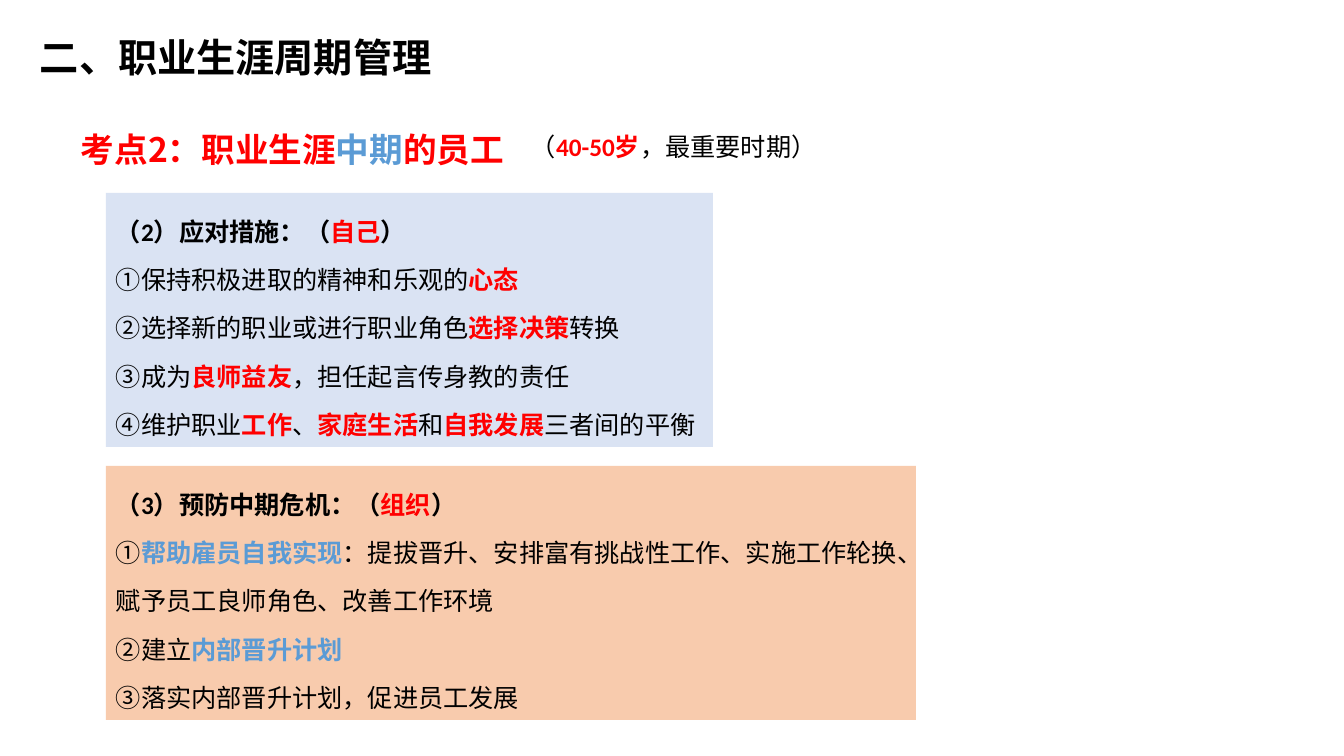
from lxml import etree
from pptx import Presentation
from pptx.dml.color import RGBColor
from pptx.enum.shapes import MSO_SHAPE
from pptx.enum.text import MSO_ANCHOR, PP_ALIGN
from pptx.oxml.ns import qn
from pptx.util import Emu, Pt

RECTANGLE = MSO_SHAPE.RECTANGLE
TOP = MSO_ANCHOR.TOP
LEFT = PP_ALIGN.LEFT

COLORS = {"black": "000000", "red": "FF0000", "blue": "5B9BD5",
          "self_panel": "DAE3F3", "company_panel": "F8CBAD"}
CJK_FONT = "Noto Sans CJK SC"
LATIN_FONT = "Calibri"

PLAIN = ("black", False)
BOLD = ("black", True)
RED = ("red", True)
BLUE = ("blue", True)

TITLE = [[("二、职业生涯周期管理", BOLD)]]
TOPIC = [[("考点2：职业生涯", RED), ("中期", BLUE), ("的员工", RED)]]
AGE_NOTE = [[("（", PLAIN), ("40-50岁", RED), ("，最重要时期）", PLAIN)]]
SELF_MEASURES = [
    [("（2）应对措施：（", BOLD), ("自己", RED), ("）", BOLD)],
    [("①保持积极进取的精神和乐观的", PLAIN), ("心态", RED)],
    [("②选择新的职业或进行职业角色", PLAIN), ("选择决策", RED), ("转换", PLAIN)],
    [("③成为", PLAIN), ("良师益友", RED), ("，担任起言传身教的责任", PLAIN)],
    [("④维护职业", PLAIN), ("工作", RED), ("、", PLAIN), ("家庭生活", RED),
     ("和", PLAIN), ("自我发展", RED), ("三者间的平衡", PLAIN)],
]
COMPANY_MEASURES = [
    [("（3）预防中期危机：（", BOLD), ("组织", RED), ("）", BOLD)],
    [("①", PLAIN), ("帮助雇员自我实现", BLUE),
     ("：提拔晋升、安排富有挑战性工作、实施工作轮换、", PLAIN)],
    [("赋予员工良师角色、改善工作环境", PLAIN)],
    [("②建立", PLAIN), ("内部晋升计划", BLUE)],
    [("③落实内部晋升计划，促进员工发展", PLAIN)],
]

HEADINGS = [
    (TITLE, (30, 28, 672, 57), 28, LATIN_FONT, 1.0),
    (TOPIC, (71, 120, 659, 53), 24, CJK_FONT, 1.1),
    (AGE_NOTE, (521, 126, 322, 40), 18, LATIN_FONT, 1.0),
]
PANEL_LEFT, PANEL_TOP, PANEL_HEIGHT, PANEL_GAP = 106, 193, 254, 19
PANELS = [
    (SELF_MEASURES, 607, "self_panel"),
    (COMPANY_MEASURES, 810, "company_panel"),
]


def px(length):
    return Emu(round(length * 914400 / 100.8))


def color(name):
    return RGBColor.from_string(COLORS[name])


def write(frame, lines, size, font_name, spacing):
    frame.word_wrap = True
    frame.vertical_anchor = TOP
    for index, line in enumerate(lines):
        paragraph = frame.add_paragraph() if index else frame.paragraphs[0]
        paragraph.alignment = LEFT
        paragraph.line_spacing = spacing
        paragraph.font.size = Pt(size)
        paragraph.font.name = font_name
        defaults = paragraph._p.pPr.find(qn("a:defRPr"))
        etree.SubElement(defaults, qn("a:ea")).set("typeface", CJK_FONT)
        for words, (ink, bold) in line:
            run = paragraph.add_run()
            run.text = words
            run.font.bold = bold
            run.font.color.rgb = color(ink)


deck = Presentation()
deck.slide_width, deck.slide_height = px(1344), px(756)
slide = deck.slides.add_slide(deck.slide_layouts[6])

for lines, place, size, font_name, spacing in HEADINGS:
    heading = slide.shapes.add_textbox(*map(px, place))
    write(heading.text_frame, lines, size, font_name, spacing)

for row, (lines, width, fill) in enumerate(PANELS):
    top = PANEL_TOP + row * (PANEL_HEIGHT + PANEL_GAP)
    panel = slide.shapes.add_shape(
        RECTANGLE, px(PANEL_LEFT), px(top), px(width), px(PANEL_HEIGHT))
    panel.shadow.inherit = False
    panel.fill.solid()
    panel.fill.fore_color.rgb = color(fill)
    panel.line.fill.background()
    write(panel.text_frame, lines, 18, LATIN_FONT, 1.6)

deck.save("out.pptx")
